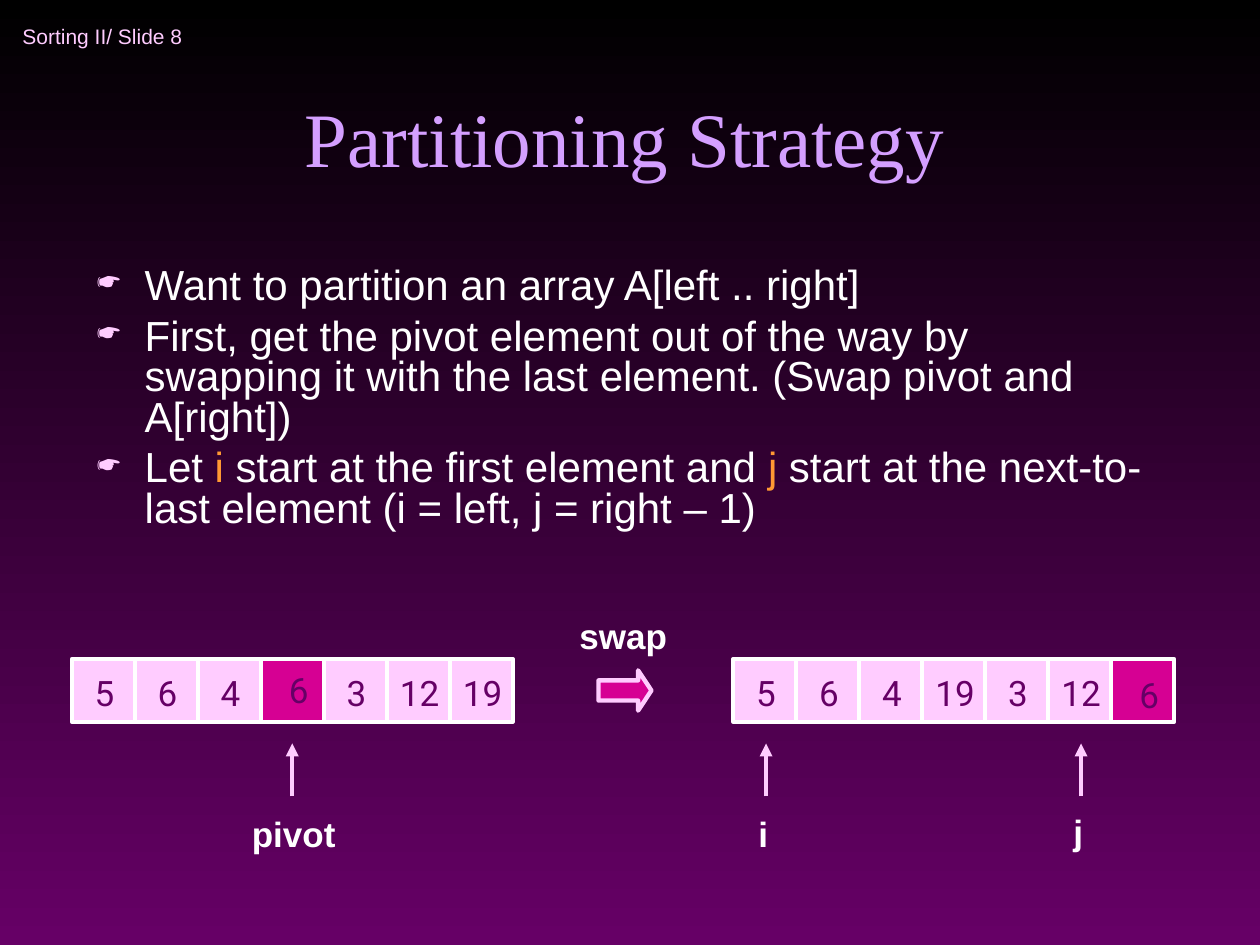
"""Builds the Partitioning Strategy slide of a lecture on sorting."""
from lxml.etree import SubElement
from pptx import Presentation
from pptx.dml.color import RGBColor
from pptx.enum.shapes import MSO_CONNECTOR, MSO_SHAPE
from pptx.enum.text import MSO_ANCHOR, MSO_AUTO_SIZE, PP_ALIGN
from pptx.oxml.ns import qn
from pptx.util import Inches, Pt

COLORS = {
    "black": "000000",
    "purple": "660066",
    "lilac": "D49FFF",
    "pink": "FFCCFF",
    "magenta": "D60093",
    "orange": "FF9933",
    "white": "FFFFFF",
}


class LectureSlide:
    def __init__(self, deck, columns=20, rows=15):
        self.slide = deck.slides.add_slide(deck.slide_layouts[6])
        self.column = deck.slide_width / columns
        self.row = deck.slide_height / rows

    def color(self, name):
        return RGBColor.from_string(COLORS[name])

    def place(self, left, top, width, height):
        return (round(left * self.column), round(top * self.row),
                round(width * self.column), round(height * self.row))

    def background(self, top_color, bottom_color):
        fill = self.slide.background.fill
        fill.gradient()
        fill.gradient_angle = 270
        for stop, position, name in zip(fill.gradient_stops, (0, 1), (top_color, bottom_color)):
            stop.position = position
            stop.color.rgb = self.color(name)

    def frame(self, area, wrap=True, anchor=MSO_ANCHOR.TOP, grow=False):
        frame = self.slide.shapes.add_textbox(*self.place(*area)).text_frame
        frame.word_wrap = wrap
        frame.vertical_anchor = anchor
        frame.auto_size = MSO_AUTO_SIZE.SHAPE_TO_FIT_TEXT if grow else MSO_AUTO_SIZE.NONE
        return frame

    def run(self, paragraph, wording, size, color, font="Arial", bold=False):
        run = paragraph.add_run()
        run.text = wording
        run.font.size = Pt(size)
        run.font.name = font
        run.font.bold = bold
        run.font.color.rgb = self.color(color)

    def text(self, area, wording, size, color, font="Arial", bold=False,
             align=PP_ALIGN.LEFT, **frame_style):
        paragraph = self.frame(area, **frame_style).paragraphs[0]
        paragraph.alignment = align
        self.run(paragraph, wording, size, color, font, bold)

    def caption(self, area, wording):
        self.text(area, wording, 20, "white", bold=True, grow=True)

    def bullets(self, area, points):
        frame = self.frame(area)
        for index, point in enumerate(points):
            paragraph = frame.add_paragraph() if index else frame.paragraphs[0]
            properties = paragraph._p.get_or_add_pPr()
            properties.set("marL", str(Inches(0.38)))
            properties.set("indent", str(-Inches(0.38)))
            bullet_color = SubElement(properties, qn("a:buClr"))
            SubElement(bullet_color, qn("a:srgbClr"), val=COLORS["pink"])
            SubElement(properties, qn("a:buSzPct"), val="75000")
            SubElement(properties, qn("a:buChar"), char="☛")
            paragraph.line_spacing = 0.8
            if index:
                paragraph.space_before = Pt(6)
            for wording, color in point:
                self.run(paragraph, wording, 24, color)

    def shape(self, kind, area, fill, line, weight):
        shape = self.slide.shapes.add_shape(kind, *self.place(*area))
        shape.shadow.inherit = False
        shape.fill.solid()
        shape.fill.fore_color.rgb = self.color(fill)
        shape.line.color.rgb = self.color(line)
        shape.line.width = Pt(weight)
        return shape

    def array(self, left, top, values, pivot, pivot_row):
        for index, value in enumerate(values):
            cell = left + index
            is_pivot = index == pivot
            self.shape(MSO_SHAPE.RECTANGLE, (cell, top, 1, 1),
                       "magenta" if is_pivot else "pink", "white", 2.25)
            center = cell + (0.6 if is_pivot else 0.52)
            width = 0.4 + 0.32 * len(value)
            label_row = pivot_row if is_pivot else top + 0.1
            self.text((center - width / 2, label_row, width, 0.88), value, 20, "purple",
                      "Roboto", align=PP_ALIGN.CENTER, wrap=False, grow=True)

    def block_arrow(self, area):
        arrow = self.shape(MSO_SHAPE.RIGHT_ARROW, area, "magenta", "pink", 2.5)
        arrow.adjustments[0] = 0.5
        arrow.adjustments[1] = 0.33

    def pointer(self, column, bottom, top):
        x, start, _, _ = self.place(column, bottom, 0, 0)
        _, end, _, _ = self.place(column, top, 0, 0)
        pointer = self.slide.shapes.add_connector(MSO_CONNECTOR.STRAIGHT, x, start, x, end)
        pointer.line.color.rgb = self.color("pink")
        pointer.line.width = Pt(2.5)
        SubElement(pointer.line._get_or_add_ln(), qn("a:tailEnd"), type="triangle")
        SubElement(pointer._element.spPr, qn("a:effectLst"))


def main():
    deck = Presentation()
    deck.slide_width = Inches(10)
    deck.slide_height = Inches(7.5)
    page = LectureSlide(deck)
    page.background("black", "purple")

    page.text((0.16, 0.16, 5.5, 0.84), "Sorting II/ Slide 8", 12, "pink",
              wrap=False, anchor=MSO_ANCHOR.MIDDLE)
    page.text((1.34, 0.5, 17.16, 2.5), "Partitioning Strategy", 44, "lilac",
              "Times New Roman", align=PP_ALIGN.CENTER, anchor=MSO_ANCHOR.BOTTOM)
    page.bullets((1.34, 4.16, 17.16, 4.5), [
        [("Want to partition an array A[left .. right]", "white")],
        [("First, get the pivot element out of the way by swapping it with "
          "the last element. (Swap pivot and A[right])", "white")],
        [("Let ", "white"), ("i", "orange"),
         (" start at the first element and ", "white"), ("j", "orange"),
         (" start at the next-to-last element (i = left, j = right – 1)", "white")],
    ])

    array_row = 10.46
    page.array(1.14, array_row, ["5", "6", "4", "6", "3", "12", "19"], 3, 10.52)
    page.array(11.64, array_row, ["5", "6", "4", "19", "3", "12", "6"], 6, 10.6)
    page.block_arrow((9.5, 10.64, 0.84, 0.64))
    page.caption((9, 9.66, 2.16, 0.88), "swap")

    for pointer_column, area, name in [
        (4.64, (3.8, 12.8, 1.84, 0.88), "pivot"),
        (12.16, (11.84, 12.8, 0.66, 0.88), "i"),
        (17.16, (16.84, 12.76, 0.84, 0.88), "j"),
    ]:
        page.pointer(pointer_column, 12.64, 11.8)
        page.caption(area, name)

    deck.save("out.pptx")


if __name__ == "__main__":
    main()
